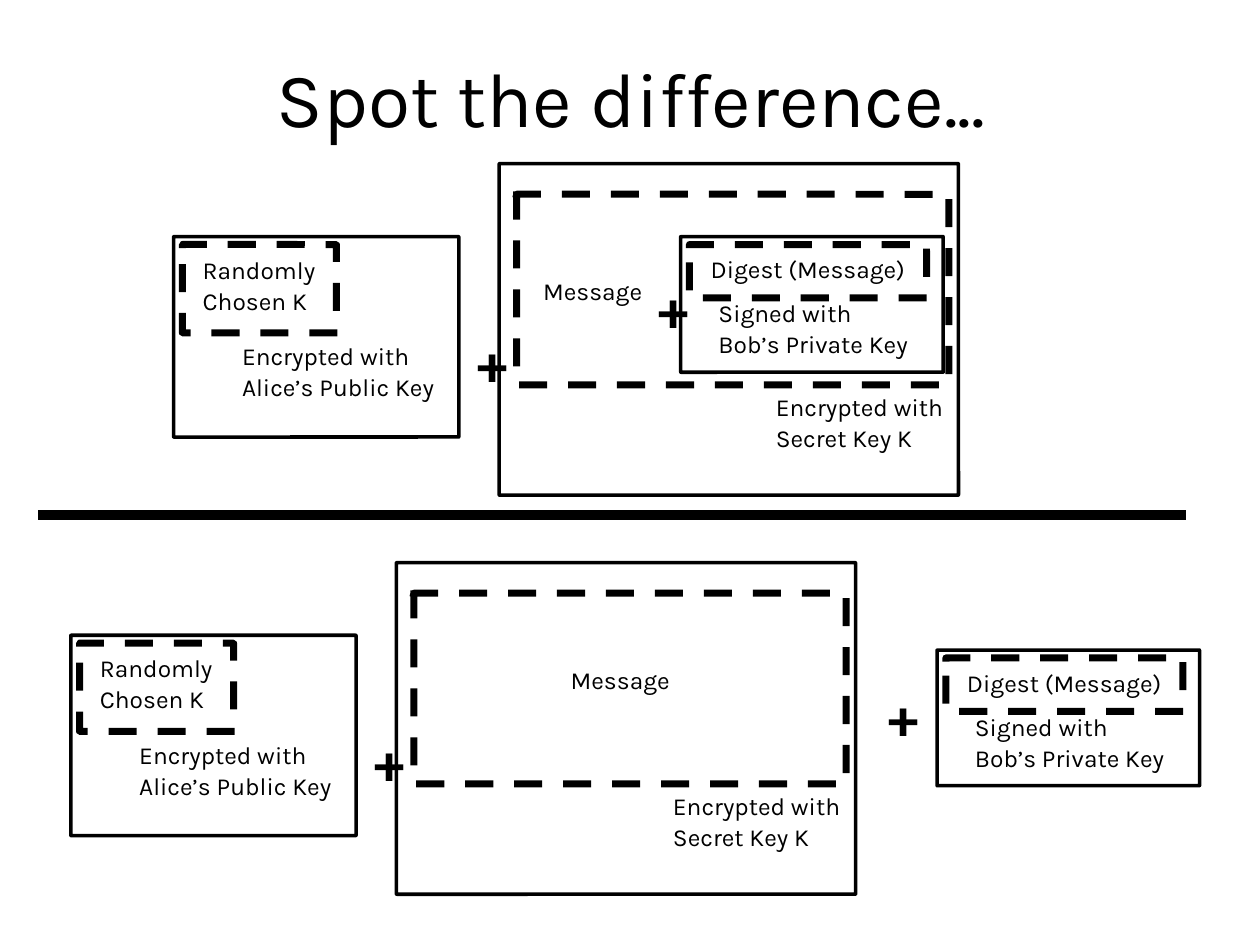
from pptx import Presentation
from pptx.dml.color import RGBColor
from pptx.enum.dml import MSO_LINE_DASH_STYLE as DASH
from pptx.enum.shapes import MSO_CONNECTOR, MSO_SHAPE
from pptx.enum.text import MSO_ANCHOR, MSO_AUTO_SIZE, PP_ALIGN
from pptx.oxml.ns import qn
from pptx.util import Pt

FONT = "Karla"
INK = "000000"
LINE_SPACING = (1.01, 1.06)


def color(hex_string):
    return RGBColor.from_string(hex_string)


def write(paragraph, text, size, bold=False):
    run = paragraph.add_run()
    run.text = text
    run.font.name = FONT
    run.font.size = Pt(size)
    run.font.bold = bold
    run.font.color.rgb = color(INK)


def add_label(slide, left, top, width, height, lines, size=14, bold=False):
    label = slide.shapes.add_textbox(Pt(left), Pt(top), Pt(width), Pt(height))
    frame = label.text_frame
    frame.word_wrap = False
    frame.auto_size = MSO_AUTO_SIZE.SHAPE_TO_FIT_TEXT
    for index, line in enumerate(lines):
        paragraph = frame.add_paragraph() if index else frame.paragraphs[0]
        paragraph.line_spacing = LINE_SPACING[index]
        write(paragraph, line, size, bold)


def add_plus(slide, left, top):
    add_label(slide, left, top, 33, 46, ["+"], size=32, bold=True)


def add_frame(slide, left, top, width, height, dashed=False):
    frame = slide.shapes.add_shape(
        MSO_SHAPE.ROUNDED_RECTANGLE, Pt(left), Pt(top), Pt(width), Pt(height))
    frame.adjustments[0] = 0.002
    frame.shadow.inherit = False
    frame.fill.background()
    frame.line.color.rgb = color(INK)
    frame.line.width = Pt(4 if dashed else 2)
    if dashed:
        frame.line.dash_style = DASH.DASH
        frame.line._get_or_add_ln().set("cap", "sq")


def add_session_key(slide, left, top):
    """Random key K, encrypted for Alice."""
    add_label(slide, left + 9.5, top + 6.5, 80.6, 41.8, ["Randomly", "Chosen K"])
    add_frame(slide, left + 5, top + 4.5, 88, 50.5, dashed=True)
    add_label(slide, left + 32, top + 56, 125.3, 41.8,
              ["Encrypted with", "Alice’s Public Key"])
    add_frame(slide, left, top, 163, 114.5)


def add_secret_message(slide, left, top, message_x, message_y):
    """Message encrypted with K, with the plus that joins it to the key."""
    add_label(slide, left + message_x, top + message_y, 73.4, 24.5, ["Message"])
    add_frame(slide, left + 10, top + 17.5, 247, 109, dashed=True)
    add_label(slide, left + 151, top + 127, 113, 41.8,
              ["Encrypted with", "Secret Key K"])
    add_frame(slide, left, top, 262.5, 189.5)
    add_plus(slide, left - 19.5, top + 89)


def add_signature(slide, left, top, plus_x, plus_y):
    """Digest signed by Bob, with the plus that joins it to the message."""
    add_label(slide, left + 10, top + 6.5, 127.4, 24.5, ["Digest (Message)"])
    add_plus(slide, left + plus_x, top + plus_y)
    add_label(slide, left + 14.5, top + 31.5, 126.7, 41.8,
              ["Signed with", "Bob’s Private Key"])
    add_frame(slide, left + 5, top + 4.5, 135.5, 30.5, dashed=True)
    add_frame(slide, left, top, 150, 77.5)


def add_divider(slide, left, right, y):
    divider = slide.shapes.add_connector(
        MSO_CONNECTOR.STRAIGHT, Pt(left), Pt(y), Pt(right), Pt(y))
    divider.line.color.rgb = color(INK)
    divider.line.width = Pt(5.67)
    properties = divider._element.spPr
    properties.append(properties.makeelement(qn("a:effectLst"), {}))


def set_title(slide, left, top, width, height, text):
    title = slide.shapes.title
    title.left, title.top = Pt(left), Pt(top)
    title.width, title.height = Pt(width), Pt(height)
    frame = title.text_frame
    frame.margin_left = frame.margin_right = 0
    frame.margin_top = frame.margin_bottom = 0
    frame.vertical_anchor = MSO_ANCHOR.MIDDLE
    frame.word_wrap = True
    frame.auto_size = MSO_AUTO_SIZE.NONE
    paragraph = frame.paragraphs[0]
    paragraph.alignment = PP_ALIGN.CENTER
    paragraph.line_spacing = 1.01
    write(paragraph, text, 44)


def main():
    deck = Presentation()
    deck.slide_width, deck.slide_height = Pt(720), Pt(540)
    slide = deck.slides.add_slide(deck.slide_layouts[5])
    slide.background.fill.solid()
    slide.background.fill.fore_color.rgb = color("FFFFFF")
    set_title(slide, 55, 8, 612, 94.5, "Spot the difference...")

    add_session_key(slide, 99.25, 135.25)
    add_secret_message(slide, 285.25, 93.5, message_x=18, message_y=60.5)
    add_signature(slide, 389, 135.25, plus_x=-20, plus_y=16.5)

    add_divider(slide, 22, 677.5, 294.5)

    add_session_key(slide, 40.5, 363)
    add_secret_message(slide, 226.5, 321.5, message_x=92.5, message_y=55)
    add_signature(slide, 535.5, 371.5, plus_x=-35, plus_y=13.5)
    deck.save("out.pptx")


if __name__ == "__main__":
    main()
